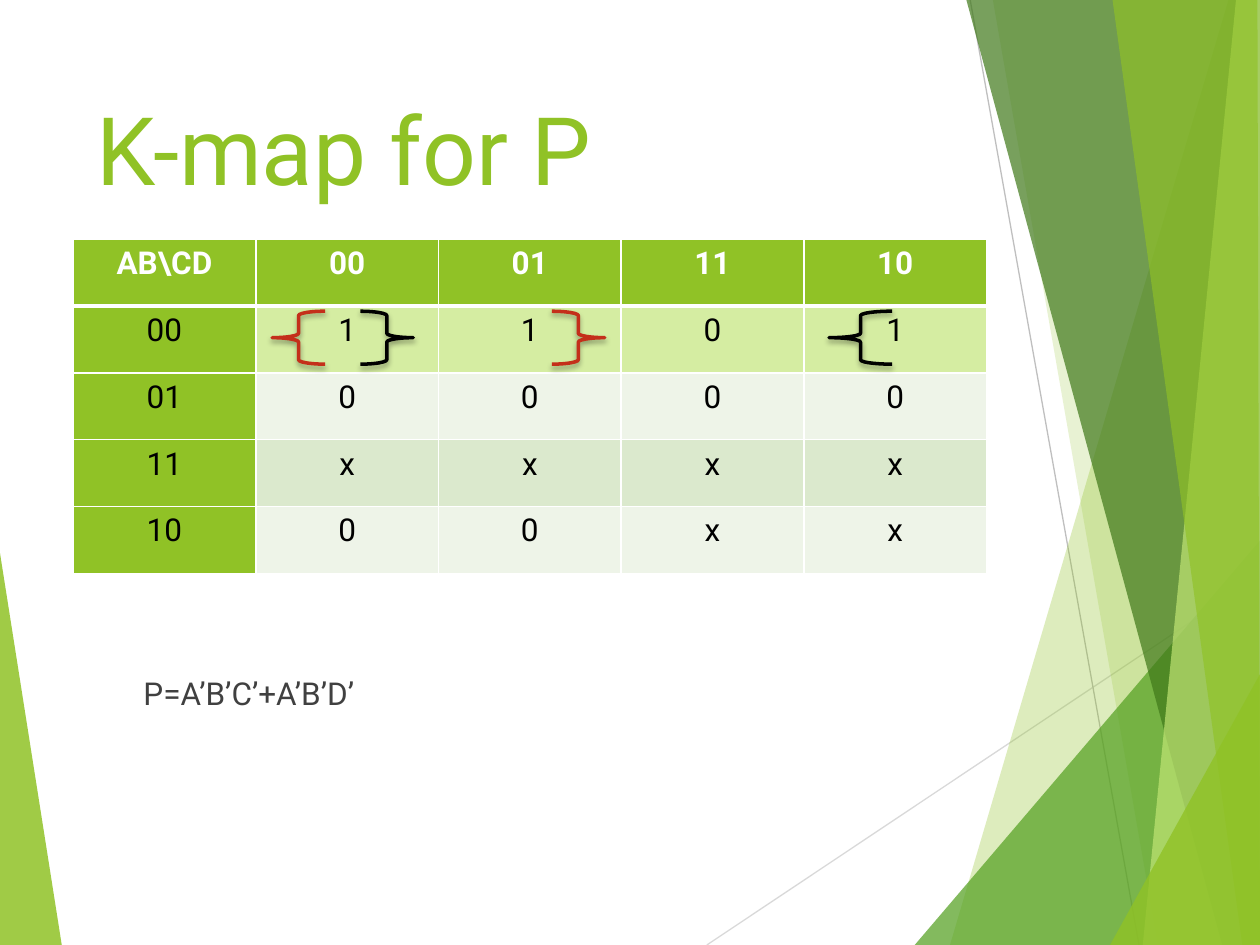
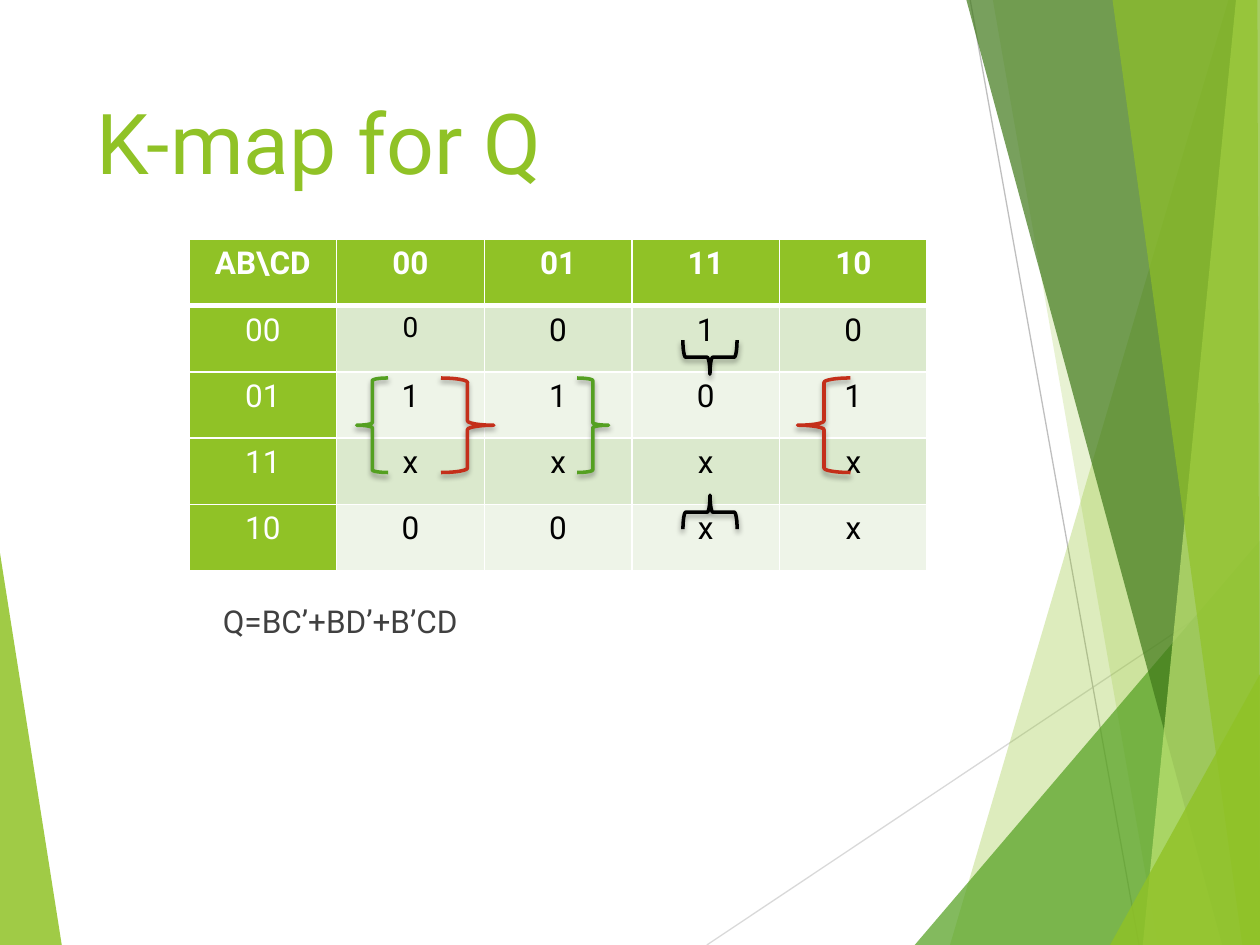
from lxml.etree import SubElement
from pptx import Presentation
from pptx.dml.color import RGBColor
from pptx.enum.shapes import MSO_CONNECTOR, MSO_SHAPE
from pptx.enum.text import MSO_ANCHOR, PP_ALIGN
from pptx.oxml.ns import qn
from pptx.util import Inches, Pt

LIME, GREEN, RED, BLACK, WHITE = "90C226", "54A021", "C42F1A", "000000", "FFFFFF"
PALE, MINT, GLOW, GREY = "EEF4E8", "DBE9CD", "D5EDA2", "404040"
LEFT, RIGHT = MSO_SHAPE.LEFT_BRACE, MSO_SHAPE.RIGHT_BRACE
CODES = ["00", "01", "11", "10"]
EDGE = [
    (LIME, 85, [(0, 4.39), (0.49, 7.5), (0, 7.5)]),
]
RAYS = [
    ("D9D9D9", (5.61, 7.5, 10, 4.57)),
    ("BFBFBF", (7.7, 0, 9.04, 7.5)),
]
FACETS = [
    (LIME, 30, [(9.75, 0), (7.54, 7.5), (10, 7.5), (10, 0)]),
    (LIME, 20, [(7.88, 0), (9.19, 7.5), (10, 7.5), (10, 0)]),
    (GREEN, 72, [(7.26, 7.5), (10, 4.29), (10, 7.5)]),
    ("3F7819", 70, [(7.67, 0), (9.7, 7.5), (10, 7.5), (10, 0)]),
    ("C0E474", 70, [(9.81, 0), (9.07, 7.5), (10, 7.5), (10, 0)]),
    (LIME, 65, [(8.83, 0), (9.86, 7.5), (10, 7.5), (9.98, 0)]),
    (LIME, 80, [(8.81, 7.5), (10, 5.35), (10, 7.5)]),
]


def color(code):
    return RGBColor.from_string(code)


def paint(fill, code):
    fill.solid()
    fill.fore_color.rgb = color(code)


def assign(item, values):
    for name, value in values.items():
        setattr(item, name, value)


class Deck:
    font = "Roboto"

    def __init__(self):
        self.prs = Presentation()
        assign(self.prs, {"slide_width": Inches(10), "slide_height": Inches(7.5)})

    def start(self):
        self.slide = self.prs.slides.add_slide(self.prs.slide_layouts[6])
        self.shapes = self.slide.shapes
        for facet in EDGE:
            self.facet(*facet)
        for ray in RAYS:
            self.ray(*ray)
        for facet in FACETS:
            self.facet(*facet)

    def facet(self, code, alpha, points):
        spots = [(Inches(x), Inches(y)) for x, y in points]
        pen = self.shapes.build_freeform(*spots[0])
        pen.add_line_segments(spots[1:], close=True)
        shape = pen.convert_to_shape()
        shape.shadow.inherit = False
        paint(shape.fill, code)
        shape.line.fill.background()
        tint = shape._element.spPr.find(".//" + qn("a:srgbClr"))
        SubElement(tint, qn("a:alpha"), val=str(alpha * 1000))

    def ray(self, code, ends):
        line = self.shapes.add_connector(MSO_CONNECTOR.STRAIGHT, *map(Inches, ends))
        line.line.color.rgb = color(code)
        line.line.width = Pt(0.75)
        SubElement(line._element.spPr, qn("a:effectLst"))

    def label(self, para, text, size, code, bold=False):
        run = para.add_run()
        run.text = text
        assign(run.font, {"name": self.font, "size": Pt(size), "bold": bold})
        run.font.color.rgb = color(code)

    def text(self, text, area, size, code):
        frame = self.shapes.add_textbox(*map(Inches, area)).text_frame
        assign(frame, {"word_wrap": True, "vertical_anchor": MSO_ANCHOR.TOP})
        self.label(frame.paragraphs[0], text, size, code)

    def title(self, text, size):
        self.text(text, (0.67, 0.67, 6.94, 1.44), size, LIME)

    def border(self, cell, row):
        props = cell._tc.get_or_add_tcPr()
        wide = {"lnT": row == 1, "lnB": row == 0}
        for side in ("lnL", "lnR", "lnT", "lnB"):
            width = Pt(3 if wide.get(side) else 1)
            line = SubElement(props, qn("a:" + side), w=str(width))
            fill = SubElement(line, qn("a:solidFill"))
            SubElement(fill, qn("a:srgbClr"), val=WHITE)

    def grid(self, area, rows, bands, side, pad, sizes):
        count = len(CODES) + 1
        table = self.shapes.add_table(count, count, *map(Inches, area)).table
        for col in table.columns:
            col.width = Inches(area[2] / count)
        for row in table.rows:
            row.height = Inches(area[3] / count)
        lines = [["AB\\CD", *CODES]]
        lines += [[code, *row] for code, row in zip(CODES, rows)]
        for r, line in enumerate(lines):
            for c, text in enumerate(line):
                cell = table.cell(r, c)
                self.border(cell, r)
                paint(cell.fill, bands[r - 1] if r and c else LIME)
                assign(cell, {"margin_left": Inches(pad), "margin_right": Inches(pad)})
                para = cell.text_frame.paragraphs[0]
                para.alignment = PP_ALIGN.CENTER
                ink = WHITE if r == 0 else BLACK if c else side
                self.label(para, text, sizes.get((r, c), 18), ink, r == 0)

    def brace(self, kind, code, area, turn=0):
        shape = self.shapes.add_shape(kind, *map(Inches, area))
        shape.shadow.inherit = False
        shape.fill.background()
        shape.line.color.rgb = color(code)
        assign(shape.line, {"width": Pt(2)})
        shape.rotation = turn
        effects = shape._element.spPr.find(qn("a:effectLst"))
        cast = SubElement(effects, qn("a:outerShdw"), blurRad=str(Pt(3)),
                          dist=str(Pt(2)), dir="5400000", rotWithShape="0")
        tint = SubElement(cast, qn("a:srgbClr"), val=BLACK)
        SubElement(tint, qn("a:alpha"), val="35000")

    def kmap(self, name, size, area, rows, bands, side, pad, sizes, result, place, braces):
        self.start()
        self.title("K-map for " + name, size)
        self.grid(area, rows, bands, side, pad, sizes)
        self.text(result, place, 18, GREY)
        for brace in braces:
            self.brace(*brace)


def main():
    deck = Deck()
    deck.kmap(
        "P", 54, (0.58, 1.9, 7.25, 2.65), ["1101", "0000", "xxxx", "00xx"],
        [GLOW, PALE, MINT, PALE], BLACK, 0.05, {},
        "P=A’B’C’+A’B’D’", (1.04, 5.3, 7.92, 0.59),
        [
            (RIGHT, RED, (4.38, 2.47, 0.42, 0.42)),
            (LEFT, RED, (2.16, 2.47, 0.42, 0.42)),
            (LEFT, BLACK, (6.58, 2.47, 0.5, 0.42)),
            (RIGHT, BLACK, (2.86, 2.47, 0.42, 0.42)),
        ],
    )
    deck.kmap(
        "Q", 48, (1.5, 1.9, 5.86, 2.63), ["0010", "1101", "xxxx", "00xx"],
        [MINT, PALE, MINT, PALE], WHITE, 0.1, {(1, 1): 16},
        "Q=BC’+BD’+B’CD", (1.67, 4.73, 3.85, 0.7),
        [
            (RIGHT, GREEN, (4.58, 3, 0.25, 0.75)),
            (LEFT, GREEN, (2.83, 3, 0.25, 0.75)),
            (RIGHT, RED, (3.5, 3, 0.42, 0.75)),
            (LEFT, RED, (6.33, 3, 0.42, 0.75)),
            (LEFT, BLACK, (5.5, 2.62, 0.27, 0.43), 270),
            (LEFT, BLACK, (5.5, 3.85, 0.27, 0.43), 90),
        ],
    )
    deck.prs.save("out.pptx")


if __name__ == "__main__":
    main()
